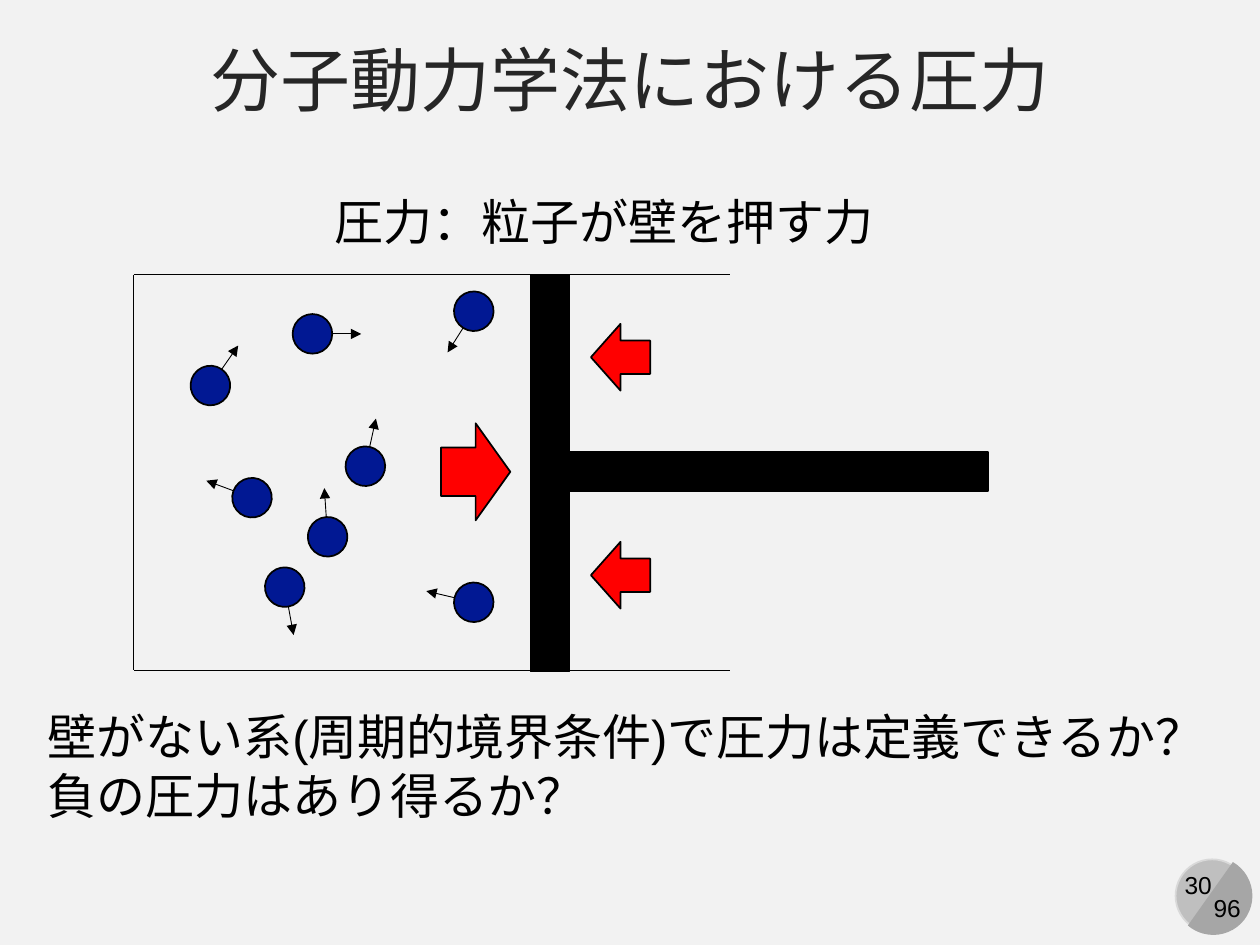
from math import cos, radians, sin

from lxml.etree import SubElement
from pptx import Presentation
from pptx.dml.color import RGBColor
from pptx.enum.shapes import MSO_CONNECTOR as CONN, MSO_SHAPE as SHAPE
from pptx.enum.text import MSO_ANCHOR as ANCHOR, MSO_AUTO_SIZE as FIT, PP_ALIGN as ALIGN
from pptx.oxml.ns import qn
from pptx.util import Inches, Pt

BLACK, NAVY, RED = "000000", "011893", "FF0000"


def rgb(value):
    return RGBColor.from_string(value)


class Slide:
    """Holds the style and the slide being drawn."""
    font = "Arial"
    radius = 0.157
    velocity = 0.23

    def __init__(self, prs, background):
        self.s = prs.slides.add_slide(prs.slide_layouts[5])
        fill = self.s.background.fill
        fill.solid()
        fill.fore_color.rgb = rgb(background)

    def set_lines(self, tf, lines, size, color=BLACK, align=ALIGN.LEFT):
        tf.text = "\n".join(lines)
        for p in tf.paragraphs:
            p.alignment = align
            p.font.name, p.font.size = self.font, Pt(size)
            p.font.color.rgb = rgb(color)

    def title(self, text, x, y, w, h):
        sp = self.s.shapes.title
        sp.left, sp.top, sp.width, sp.height = map(Inches, (x, y, w, h))
        tf = sp.text_frame
        tf.auto_size, tf.vertical_anchor = FIT.NONE, ANCHOR.MIDDLE
        self.set_lines(tf, [text], 40, "262626", ALIGN.CENTER)

    def text(self, lines, x, y, w, h, size=28, align=ALIGN.LEFT, wrap=False):
        tf = self.s.shapes.add_textbox(*map(Inches, (x, y, w, h))).text_frame
        tf.word_wrap = wrap
        self.set_lines(tf, lines, size, align=align)

    def shape(self, kind, x, y, w, h, fill, line=BLACK, rotation=0):
        sp = self.s.shapes.add_shape(kind, *map(Inches, (x, y, w, h)))
        sp.shadow.inherit = False
        sp.rotation = rotation
        sp.fill.solid()
        sp.fill.fore_color.rgb = rgb(fill)
        if line:
            sp.line.color.rgb = rgb(line)
            sp.line.width = Pt(1)
        else:
            sp.line.fill.background()
        return sp

    def line(self, x1, y1, x2, y2, arrow=False):
        c = self.s.shapes.add_connector(CONN.STRAIGHT, *map(Inches, (x1, y1, x2, y2)))
        c.line.color.rgb = rgb(BLACK)
        c.line.width = Pt(0.5)
        props = c._element.spPr
        if arrow:
            SubElement(props.find(qn("a:ln")), qn("a:tailEnd"), type="triangle")
        SubElement(props, qn("a:effectLst"))
        return c

    def particle(self, cx, cy, angle):
        """Draw a disc with its velocity arrow, grouped; angle is clockwise degrees."""
        r, reach = self.radius, self.radius + self.velocity
        dx, dy = cos(radians(angle)), sin(radians(angle))
        disc = self.shape(SHAPE.OVAL, cx - r, cy - r, 2 * r, 2 * r, NAVY, rotation=angle)
        arrow = self.line(cx + r * dx, cy + r * dy, cx + reach * dx, cy + reach * dy, True)
        self.s.shapes.add_group_shape([disc, arrow])

    def page_badge(self, page, total):
        self.shape(SHAPE.OVAL, 9.33, 6.82, 0.58, 0.58, "BFBFBF", "D9D9D9")
        self.text([page], 9.29, 6.86, 0.44, 0.34, 14, ALIGN.CENTER)
        chord = self.shape(SHAPE.CHORD, 9.32, 6.8, 0.62, 0.62, "A6A6A6", None, 255)
        chord.adjustments[0], chord.adjustments[1] = 27, 141.42
        self.text([total], 9.53, 7.04, 0.42, 0.34, 14, ALIGN.CENTER)


def main():
    prs = Presentation()
    prs.slide_width, prs.slide_height = Inches(10), Inches(7.5)
    s = Slide(prs, "F2F2F2")
    s.page_badge("30", "96")
    s.title("分子動力学法における圧力", 0, 0.21, 10, 0.82)
    s.text(["圧力：粒子が壁を押す力"], 2.56, 1.47, 4.52, 0.57)

    for cx, cy, angle in [
        (2.48, 2.65, 0), (1.67, 3.06, 304.8), (2.6, 4.26, 266.2), (2, 3.95, 200.4),
        (3.76, 2.47, 122.4), (2.9, 3.7, 282.5), (3.76, 4.78, 193.3), (2.26, 4.66, 79.5),
    ]:
        s.particle(cx, cy, angle)

    left, right, top, bottom = 1.06, 5.79, 2.18, 5.32
    for y in (top, bottom):
        s.line(right, y, left, y)
    s.line(left, top, left, bottom)

    piston_x, thickness = 4.21, 0.31
    s.shape(SHAPE.RECTANGLE, piston_x, top, thickness, 3.15, BLACK)
    s.shape(SHAPE.RECTANGLE, piston_x + thickness, 3.59, 3.32, thickness, BLACK)

    s.shape(SHAPE.RIGHT_ARROW, 3.5, 3.36, 0.55, 0.77, RED)
    for y in (2.57, 4.3):
        s.shape(SHAPE.RIGHT_ARROW, 4.69, y, 0.47, 0.53, RED, rotation=180)

    s.text(["壁がない系(周期的境界条件)で圧力は定義できるか？", "負の圧力はあり得るか？"],
           0.28, 5.56, 9.5, 1.04, wrap=True)
    prs.save("out.pptx")


if __name__ == "__main__":
    main()
